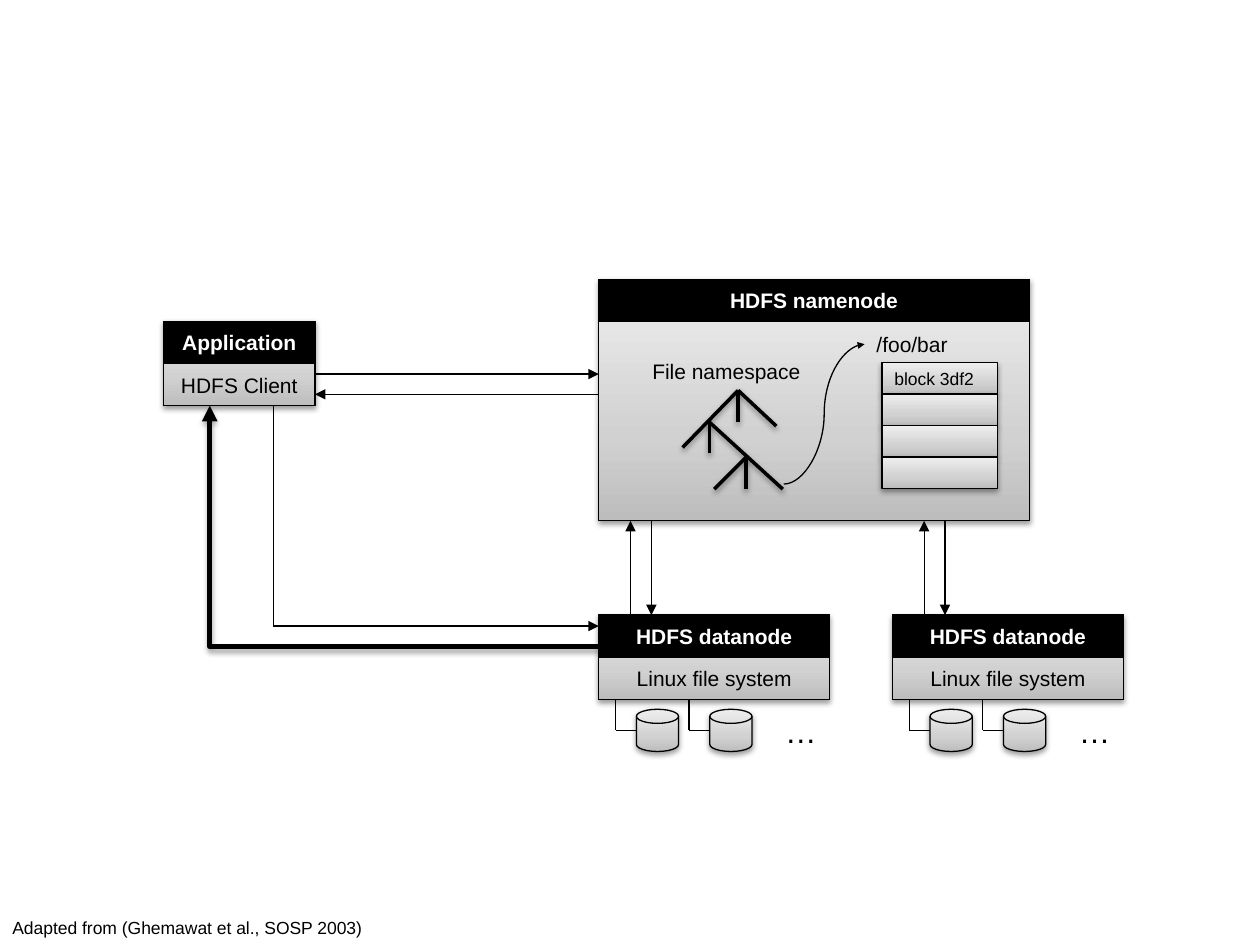
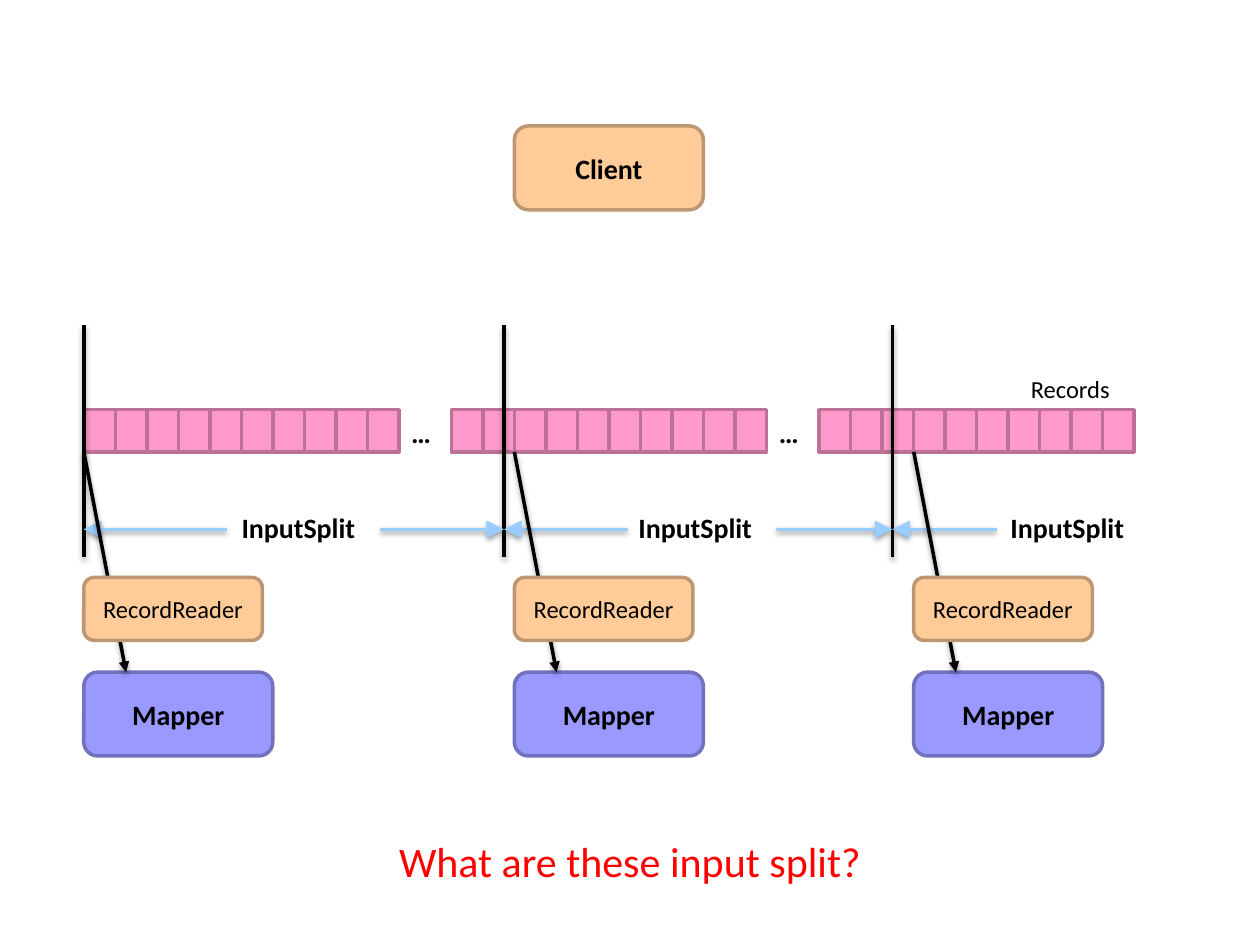
import pptx
import pptx.util
import pptx.dml.color
import pptx.enum.shapes
import pptx.enum.text
import pptx.oxml
import pptx.oxml.ns

SHAPES = pptx.enum.shapes.MSO_SHAPE
CONNECTORS = pptx.enum.shapes.MSO_CONNECTOR
ALIGN = pptx.enum.text.PP_ALIGN
ANCHOR = pptx.enum.text.MSO_ANCHOR
FIT = pptx.enum.text.MSO_AUTO_SIZE

# Shared look
BLACK, WHITE, RED = "000000", "FFFFFF", "FF0000"
PINK, PINK_EDGE = "FF99CC", "BD7197"
ORANGE, ORANGE_EDGE = "FFCC99", "BD9771"
VIOLET, VIOLET_EDGE = "9999FF", "7171BD"
SKY = "99CCFF"
METAL = [(0, "BDBDBD"), (35, "D1D1D1"), (100, "EEEEEE")]
SOFT = {"opacity": 38, "distance": 20000}
DEEP = {"opacity": 35, "distance": 23000}
THIN, MEDIUM, THICK = 0.75, 2, 3

ARIAL = {"name": "Arial", "size": 12, "color": BLACK}
ARIAL_HEAD = {**ARIAL, "color": WHITE, "bold": True}
ARIAL_SMALL = {**ARIAL, "size": 10}
ARIAL_DOTS = {**ARIAL, "size": 18}
CALIBRI = {"name": "Calibri", "size": 14, "color": BLACK}
CALIBRI_BOLD = {**CALIBRI, "size": 16, "bold": True}
CALIBRI_QUESTION = {**CALIBRI, "size": 24, "color": RED}

# HDFS slide content, all lengths in centimetres
BAR = 0.85
NAMENODE = ("HDFS namenode", 12.07, 5.63, 8.68, 4.87)
CLIENT = ("Application", "HDFS Client", 3.3, 6.48, 3.05)
DATANODES = [("HDFS datanode", "Linux file system", left, 12.4, 4.66)
             for left in (12.07, 17.99)]
DISK_OFFSETS = (0.76, 2.24)
HDFS_LABELS = [
    ("Adapted from (Ghemawat et al., SOSP 2003)", (0, 18.36, 7.62, 0.68), ARIAL_SMALL),
    ("File namespace", (12.9, 7.11, 3.53, 0.77), ARIAL),
    ("/foo/bar", (17.42, 6.56, 1.96, 0.77), ARIAL),
]
REQUESTS = [
    ((6.35, 7.54), (12.07, 7.54), "med"),
    ((12.07, 7.95), (6.35, 7.95), "med"),
    ((5.51, 12.62), (12.07, 12.62), "med"),
    ((5.51, 12.62), (5.51, 8.18), None),
]
DATA_RETURN = ((12.07, 13.03), (4.23, 8.18))
ROOT, LEFT_NODE, LOW_NODE = (14.88, 7.87), (14.3, 8.51), (15.04, 9.22)
BRANCHES = [
    (ROOT, (13.76, 9.02)), (ROOT, (15.65, 8.59)), (ROOT, (14.88, 8.51)),
    (LEFT_NODE, (14.3, 9.14)), (LEFT_NODE, (15.78, 9.86)),
    (LOW_NODE, (15.04, 9.86)), (LOW_NODE, (14.4, 9.86)),
]
LOOKUP = ((15.8, 9.76), (17.43, 6.94))
BLOCKS = ["block 3df2", "", "", ""]
BLOCK_LEFT, BLOCK_TOP, BLOCK_WIDTH, BLOCKS_HEIGHT = 17.78, 7.31, 2.33, 2.54

# Input split slide content
STRIP_LEFTS = (1.69, 9.1, 16.51)
STRIP_TOP, STRIP_WIDTH, RECORD_COUNT = 8.26, 6.35, 10
SPLIT_MARKS = (1.69, 10.16, 17.99)
SPLIT_LABELS = (4.62, 12.62, 20.12)
SPLIT_Y = 10.67
SPLIT_ARROWS = [(4.57, 1.69), (7.67, 10.16), (12.65, 10.16),
                (15.65, 17.99), (20.09, 17.99)]
MAPPER_LEFTS = (1.69, 10.37, 18.42)
BIG_BOX = (3.81, 1.69)
READER_BOX = (3.6, 1.27)


def color(code):
    return pptx.dml.color.RGBColor.from_string(code)


def cm(values):
    return [pptx.util.Cm(value) for value in values]


def set_shadow(shape, shadow):
    """Give the shape an explicit effect list, empty without a shadow."""
    properties = shape._element.spPr
    for old in properties.findall(pptx.oxml.ns.qn("a:effectLst")):
        properties.remove(old)
    inner = ""
    if shadow:
        inner = (f'<a:outerShdw blurRad="40000" dist="{shadow["distance"]}" '
                 'dir="5400000" rotWithShape="0"><a:srgbClr val="000000">'
                 f'<a:alpha val="{shadow["opacity"] * 1000}"/>'
                 '</a:srgbClr></a:outerShdw>')
    properties.append(pptx.oxml.parse_xml(
        f'<a:effectLst {pptx.oxml.ns.nsdecls("a")}>{inner}</a:effectLst>'))


def set_fill(fill, paint):
    if paint is None:
        fill.background()
    elif isinstance(paint, str):
        fill.solid()
        fill.fore_color.rgb = color(paint)
    else:
        fill.gradient()
        fill.gradient_angle = 90
        stops = fill._fill._gradFill.find(pptx.oxml.ns.qn("a:gsLst"))
        for stop in list(stops):
            stops.remove(stop)
        for position, code in paint:
            stops.append(pptx.oxml.parse_xml(
                f'<a:gs {pptx.oxml.ns.nsdecls("a")} pos="{position * 1000}">'
                f'<a:srgbClr val="{code}"/></a:gs>'))


def write(shape, text, style, align):
    paragraph = shape.text_frame.paragraphs[0]
    paragraph.alignment = align
    span = paragraph.add_run()
    span.text = text
    for key, value in style.items():
        if key == "color":
            span.font.color.rgb = color(value)
        else:
            setattr(span.font, key, pptx.util.Pt(value) if key == "size" else value)


def add_box(page, place, paint, edge=BLACK, width=THIN, shadow=None, text="",
            style=ARIAL, align=ALIGN.CENTER, kind=SHAPES.RECTANGLE):
    box = page.shapes.add_shape(kind, *cm(place))
    set_fill(box.fill, paint)
    box.line.color.rgb = color(edge)
    box.line.width = pptx.util.Pt(width)
    set_shadow(box, shadow)
    box.text_frame.vertical_anchor = ANCHOR.MIDDLE
    if text:
        write(box, text, style, align)
    return box


def add_label(page, text, place, style, wrap=False, align=ALIGN.LEFT):
    label = page.shapes.add_textbox(*cm(place))
    label.text_frame.word_wrap = wrap
    label.text_frame.auto_size = FIT.SHAPE_TO_FIT_TEXT
    write(label, text, style, align)


def add_line(page, start, end, width=THIN, code=BLACK, head=None, shadow=None,
             kind=CONNECTORS.STRAIGHT):
    line = page.shapes.add_connector(kind, *cm(start + end))
    line.line.color.rgb = color(code)
    line.line.width = pptx.util.Pt(width)
    if head:
        line.line._get_or_add_ln().append(pptx.oxml.parse_xml(
            f'<a:tailEnd {pptx.oxml.ns.nsdecls("a")} type="triangle" '
            f'w="{head}" len="{head}"/>'))
    set_shadow(line, shadow)
    return line


def add_node(page, heading, body, left, top, width):
    """Black heading bar over a grey bar, with one shadow behind both."""
    add_box(page, (left, top, width, 2 * BAR), METAL, shadow=SOFT)
    add_box(page, (left, top, width, BAR), BLACK, text=heading, style=ARIAL_HEAD)
    add_box(page, (left, top + BAR, width, BAR), None, text=body)


def add_datanode(page, heading, body, left, top, width):
    add_node(page, heading, body, left, top, width)
    bottom = top + 2 * BAR
    disk_top = bottom + 0.2
    middle = disk_top + BAR / 2
    for offset in DISK_OFFSETS:
        disk_left = left + offset
        stem = disk_left - 0.42
        add_box(page, (disk_left, disk_top, BAR, BAR), METAL, shadow=SOFT,
                kind=SHAPES.FLOWCHART_MAGNETIC_DISK)
        add_line(page, (stem, bottom), (stem, middle))
        add_line(page, (stem, middle), (disk_left, middle))
    add_label(page, "…", (left + 3.51, bottom + 0.12, 1.14, 1.02), ARIAL_DOTS)
    # Traffic with the namenode above
    namenode_bottom = NAMENODE[2] + NAMENODE[4]
    down, up = left + 1.06, left + 0.64
    add_line(page, (down, namenode_bottom), (down, top), head="med")
    add_line(page, (up, top), (up, namenode_bottom), head="med")


def build_hdfs(page):
    # Client, requests and data return
    add_node(page, *CLIENT)
    for start, end, head in REQUESTS:
        add_line(page, start, end, head=head)
    elbow = add_line(page, *DATA_RETURN, width=THICK, head="med", shadow=DEEP,
                     kind=CONNECTORS.ELBOW)
    elbow._element.spPr.prstGeom.set("prst", "bentConnector2")

    # Namenode and datanodes
    heading, left, top, width, height = NAMENODE
    add_box(page, (left, top, width, height), METAL, shadow=SOFT)
    add_box(page, (left, top, width, BAR), BLACK, text=heading, style=ARIAL_HEAD)
    for datanode in DATANODES:
        add_datanode(page, *datanode)

    # Namespace tree and its block list
    for text, place, style in HDFS_LABELS:
        add_label(page, text, place, style)
    for start, end in BRANCHES:
        add_line(page, start, end, MEDIUM, shadow=SOFT)
    add_line(page, *LOOKUP, head="sm", kind=CONNECTORS.CURVE)
    block_height = BLOCKS_HEIGHT / len(BLOCKS)
    for row, text in enumerate(BLOCKS):
        place = (BLOCK_LEFT, BLOCK_TOP + row * block_height, BLOCK_WIDTH, block_height)
        add_box(page, place, METAL, shadow=SOFT, text=text, style=ARIAL_SMALL,
                align=ALIGN.LEFT)


def build_splits(page):
    # Record strips with dots in the gaps
    record_width = STRIP_WIDTH / RECORD_COUNT
    for left in STRIP_LEFTS:
        for column in range(RECORD_COUNT):
            place = (left + column * record_width, STRIP_TOP, record_width, BAR)
            add_box(page, place, PINK, PINK_EDGE, MEDIUM)
    for left in STRIP_LEFTS[:-1]:
        add_label(page, "…", (left + STRIP_WIDTH, STRIP_TOP, 1.08, 0.93), CALIBRI_BOLD)
    add_label(page, "Records", (20.53, 7.41, 2.18, 0.86), CALIBRI)

    # Split marks, arrows and labels
    for x in SPLIT_MARKS:
        add_line(page, (x, 6.56), (x, 11.22), MEDIUM, shadow=DEEP)
    for start, end in SPLIT_ARROWS:
        add_line(page, (start, SPLIT_Y), (end, SPLIT_Y), MEDIUM, SKY, "lg", SOFT)
    for left in SPLIT_LABELS:
        add_label(page, "InputSplit", (left, 10.16, 3.33, 0.93), CALIBRI_BOLD)

    # Client, then a reader and a mapper for each split
    rounded = {"width": MEDIUM, "kind": SHAPES.ROUNDED_RECTANGLE}
    add_box(page, (10.37, 2.54, *BIG_BOX), ORANGE, ORANGE_EDGE, text="Client",
            style=CALIBRI_BOLD, **rounded)
    for left in MAPPER_LEFTS:
        add_box(page, (left, 13.55, *BIG_BOX), VIOLET, VIOLET_EDGE, text="Mapper",
                style=CALIBRI_BOLD, **rounded)
        add_line(page, (left, STRIP_TOP + BAR), (left + BAR, 13.55), MEDIUM,
                 head="med", shadow=SOFT)
        add_box(page, (left, 11.64, *READER_BOX), ORANGE, ORANGE_EDGE,
                text="RecordReader", style=CALIBRI, **rounded)
    add_label(page, "What are these input split?", (0, 16.72, 25.4, 1.27),
              CALIBRI_QUESTION, wrap=True, align=ALIGN.CENTER)


def main():
    deck = pptx.Presentation()
    deck.slide_width, deck.slide_height = cm((25.4, 19.05))
    blank = deck.slide_layouts[6]
    for build in (build_hdfs, build_splits):
        build(deck.slides.add_slide(blank))
    deck.save("out.pptx")


if __name__ == "__main__":
    main()
